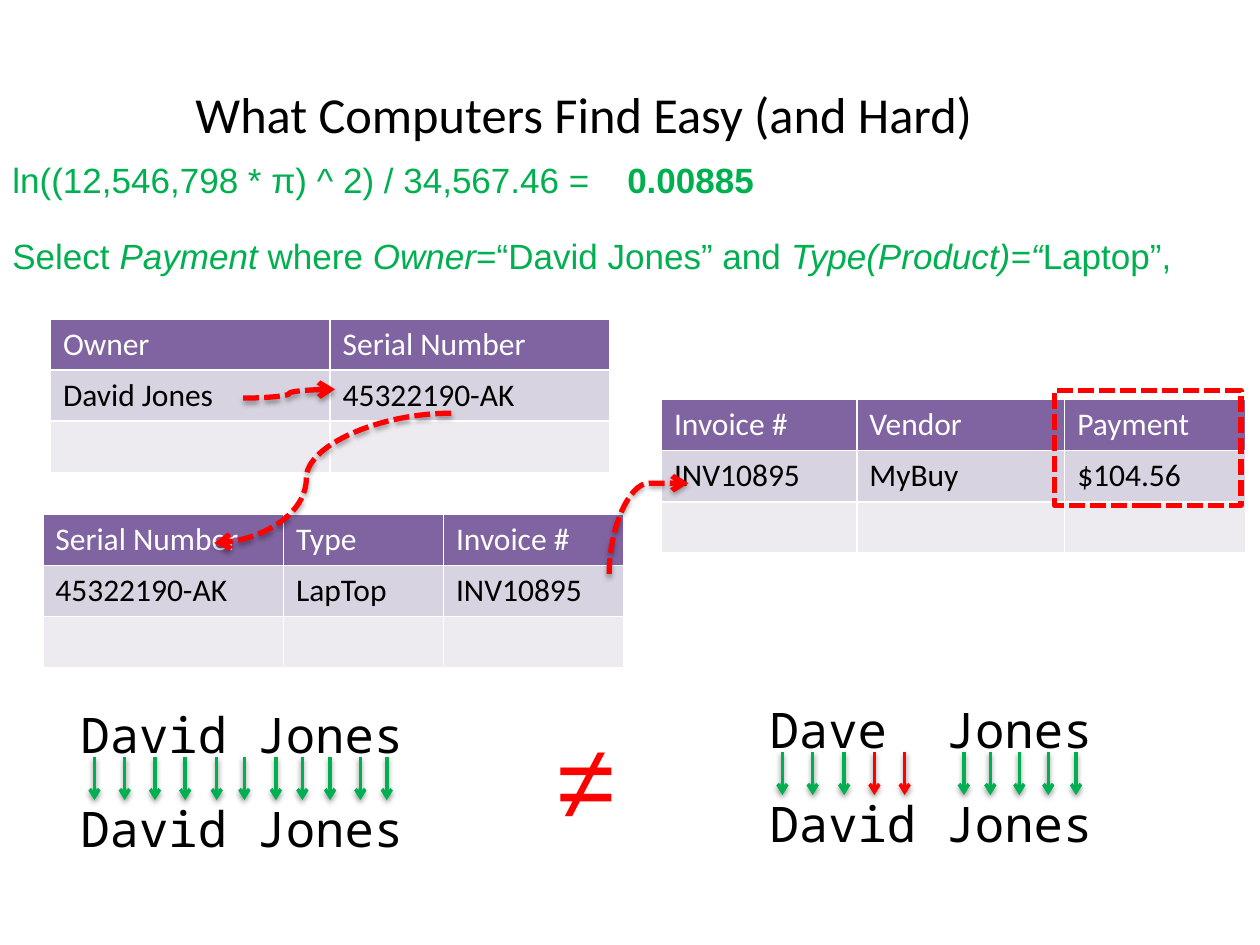
from lxml import etree
from pptx import Presentation
from pptx.dml.color import RGBColor
from pptx.enum import dml, shapes, text
from pptx.oxml import parse_xml
from pptx.oxml.ns import nsdecls, qn
from pptx.util import Inches, Pt

BLACK = RGBColor(0x00, 0x00, 0x00)
WHITE = RGBColor(0xFF, 0xFF, 0xFF)
GREEN = RGBColor(0x00, 0xB0, 0x50)
RED = RGBColor(0xFF, 0x00, 0x00)
HEAD = RGBColor(0x80, 0x64, 0xA2)
BAND = RGBColor(0xD8, 0xD3, 0xE0)
PALE = RGBColor(0xED, 0xEA, 0xF0)
MONO = "Noto Sans Mono"

deck = Presentation()
deck.slide_width, deck.slide_height = Inches(10), Inches(7.5)
slide = deck.slides.add_slide(deck.slide_layouts[5])


def write(box, runs, face, size, color, wrap=False, bold=False):
    left, top, width, height = map(Inches, box)
    frame = slide.shapes.add_textbox(left, top, width, height).text_frame
    frame.word_wrap = wrap
    para = frame.paragraphs[0]
    for words, slant in runs:
        run = para.add_run()
        run.text = words
        if slant:
            run.font.italic = True
    font = para.font
    font.name, font.size, font.bold = face, Pt(size), bold
    font.color.rgb = color


def arrow(kind, ends, color, width, alpha, dist):
    link = slide.shapes.add_connector(kind, *map(Inches, ends))
    link.line.color.rgb = color
    link.line.width = Pt(width)
    props = link._element.spPr
    tail = etree.SubElement(link.line._get_or_add_ln(), qn("a:tailEnd"))
    tail.set("type", "arrow")
    props.append(parse_xml(
        f'<a:effectLst {nsdecls("a")}><a:outerShdw blurRad="{Pt(3.1)}" '
        f'dist="{Pt(dist)}" dir="5400000" rotWithShape="0"><a:srgbClr val="000000">'
        f'<a:alpha val="{alpha}000"/></a:srgbClr></a:outerShdw></a:effectLst>'))
    return link


title = slide.shapes.title
title.left, title.top = Inches(0.25), Inches(0.61)
title.width, title.height = Inches(8.77), Inches(0.58)
title.text_frame.text = "What Computers Find Easy (and Hard)"
title.text_frame.vertical_anchor = text.MSO_ANCHOR.MIDDLE
para = title.text_frame.paragraphs[0]
para.alignment = text.PP_ALIGN.CENTER
para.font.name, para.font.size = "Calibri", Pt(28.8)
para.font.color.rgb = BLACK

write((0, 1.21, 4.85, 0.43), [("ln((12,546,798 * π) ^ 2) / 34,567.46 =", False)],
      "Arial", 20, GREEN)
write((4.88, 1.21, 1.29, 0.43), [("0.00885", False)], "Arial", 20, GREEN, bold=True)
query = [("Select ", False), ("Payment", True), (" where ", False), ("Owner", True),
         ("=“David Jones” and ", False), ("Type(Product)=“", True), ("Laptop”,", False)]
write((0, 1.81, 9.64, 0.43), query, "Arial", 20, GREEN, wrap=True)

tables = [
    (0.4, 2.53, [2.22, 2.22],
     [["Owner", "Serial Number"], ["David Jones", "45322190-AK"]]),
    (0.34, 4.08, [1.91, 1.27, 1.43],
     [["Serial Number", "Type", "Invoice #"], ["45322190-AK", "LapTop", "INV10895"]]),
    (5.25, 3.17, [1.55, 1.65, 1.44],
     [["Invoice #", "Vendor", "Payment"], ["INV10895", "MyBuy", "$104.56"]]),
]
for left, top, widths, rows in tables:
    grid = slide.shapes.add_table(3, len(widths), Inches(left), Inches(top),
                                  Inches(sum(widths)), Inches(1.22)).table
    for col, width in zip(grid.columns, widths):
        col.width = Inches(width)
    looks = [(HEAD, WHITE), (BAND, BLACK), (PALE, BLACK)]
    for r, (fill, ink) in enumerate(looks):
        for c in range(len(widths)):
            cell = grid.cell(r, c)
            cell.fill.solid()
            cell.fill.fore_color.rgb = fill
            if r < len(rows):
                cell.text = rows[r][c]
            font = cell.text_frame.paragraphs[0].font
            font.name, font.size, font.bold = "Calibri", Pt(18), False
            font.color.rgb = ink

curves = [
    ((3.58, 3.28, 1.7, 4.31), 0, 61100),
    ((1.93, 3.16, 2.66, 3.09), 0, 50000),
    ((5.51, 4.51, 4.79, 3.88), 90, 100000),
]
for ends, turn, bend in curves:
    curve = arrow(shapes.MSO_CONNECTOR.CURVE, ends, RED, 3, 35, 1.8)
    curve.line.dash_style = dml.MSO_LINE.SQUARE_DOT
    props = curve._element.spPr
    props.find(qn("a:xfrm")).set("rot", str(turn * 60000))
    guide = etree.SubElement(props.find(qn("a:prstGeom")).find(qn("a:avLst")), qn("a:gd"))
    guide.set("name", "adj1")
    guide.set("fmla", f"val {bend}")

frame = slide.shapes.add_shape(shapes.MSO_SHAPE.RECTANGLE, Inches(8.37), Inches(3.1),
                               Inches(1.48), Inches(0.91))
frame.shadow.inherit = False
frame.fill.background()
frame.line.color.rgb = RED
frame.line.width = Pt(3)
frame.line.dash_style = dml.MSO_LINE.SQUARE_DOT

pairs = [
    (0.54, 5.54, "David Jones", [],
     [0.75, 0.99, 1.23, 1.47, 1.72, 1.94, 2.19, 2.4, 2.62, 2.86, 3.07]),
    (6.01, 5.5, "Dave  Jones", [6.94, 7.18],
     [6.21, 6.45, 6.7, 6.94, 7.18, 7.65, 7.86, 8.09, 8.32, 8.54]),
]
for left, top, name, wrong, spots in pairs:
    write((left, top, 2.79, 0.57), [(name, False)], MONO, 28, BLACK)
    write((left, top + 0.75, 3.4, 0.57), [("David Jones", False)], MONO, 28, BLACK, wrap=True)
    for x in spots:
        arrow(shapes.MSO_CONNECTOR.STRAIGHT, (x, top + 0.47, x, top + 0.81),
              RED if x in wrong else GREEN, 2, 38, 1.6)

write((4.33, 5.62, 0.61, 1.11), [("≠", False)], "Arial", 60, RED, wrap=True)

deck.save("out.pptx")
